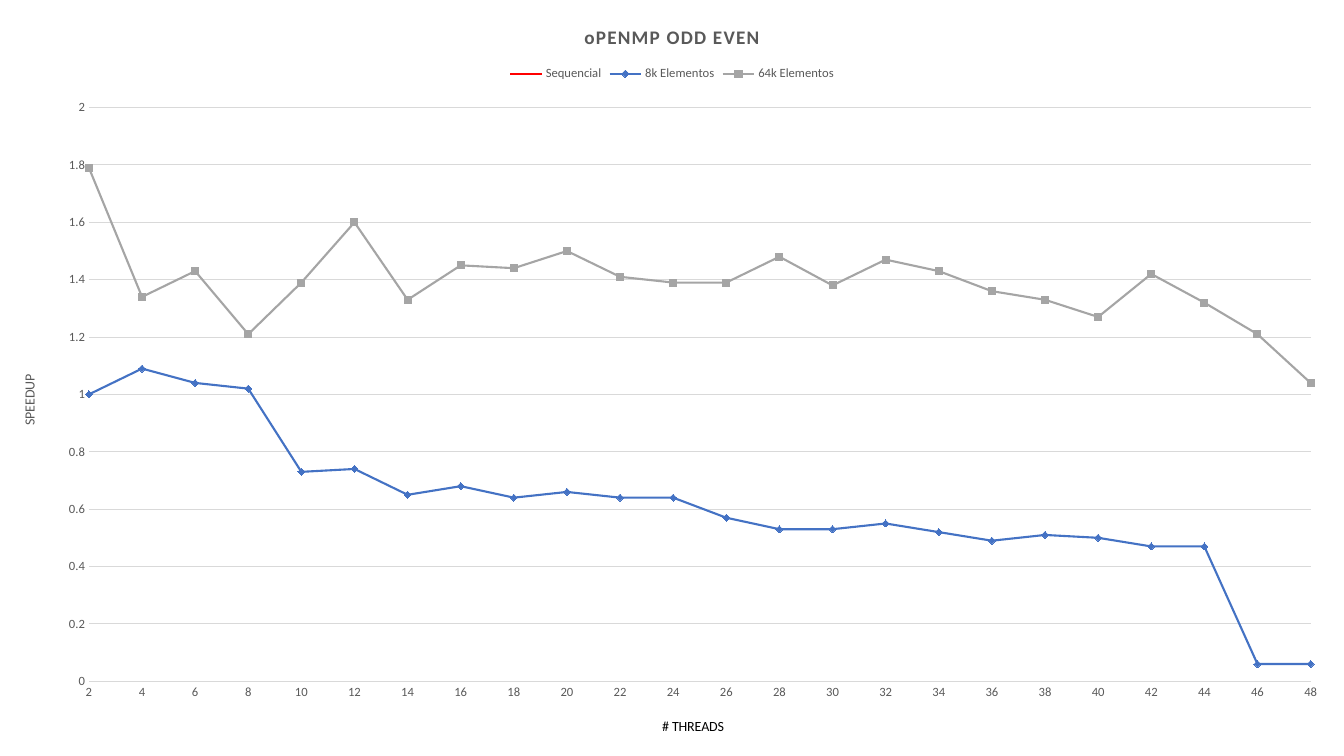
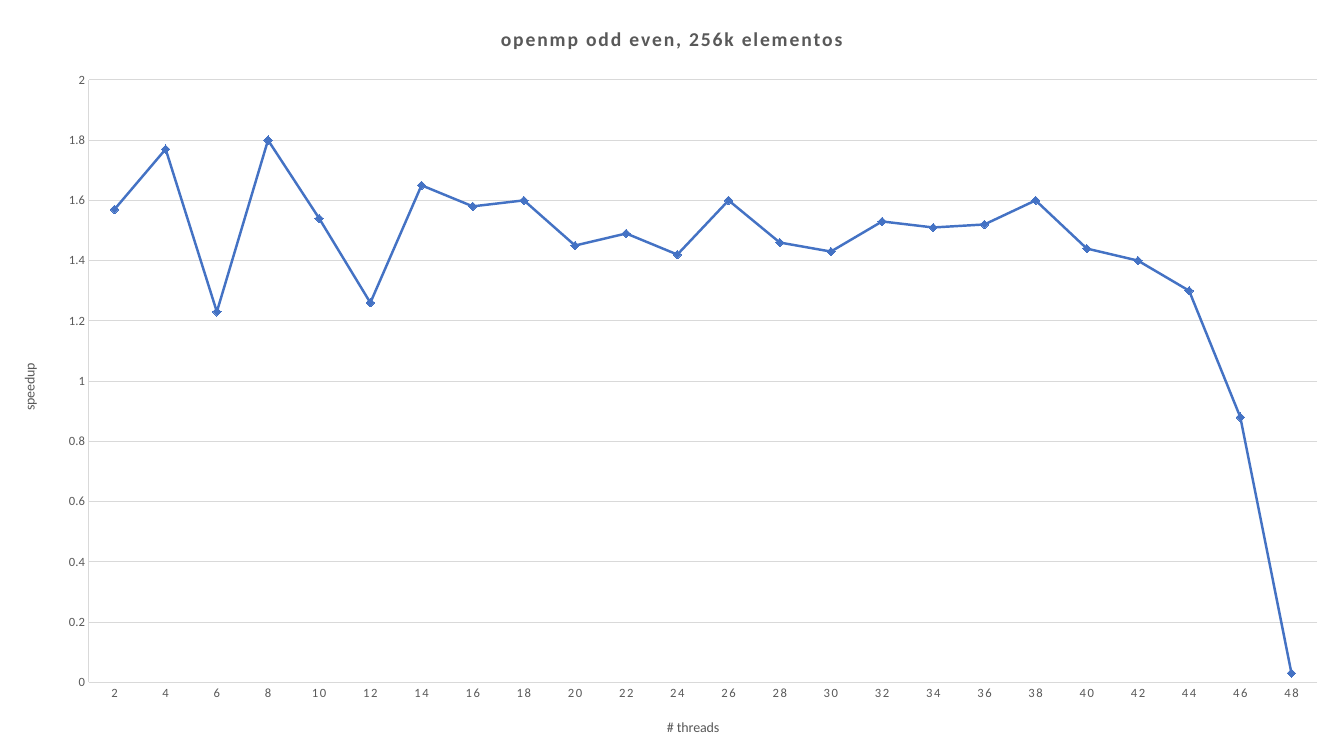
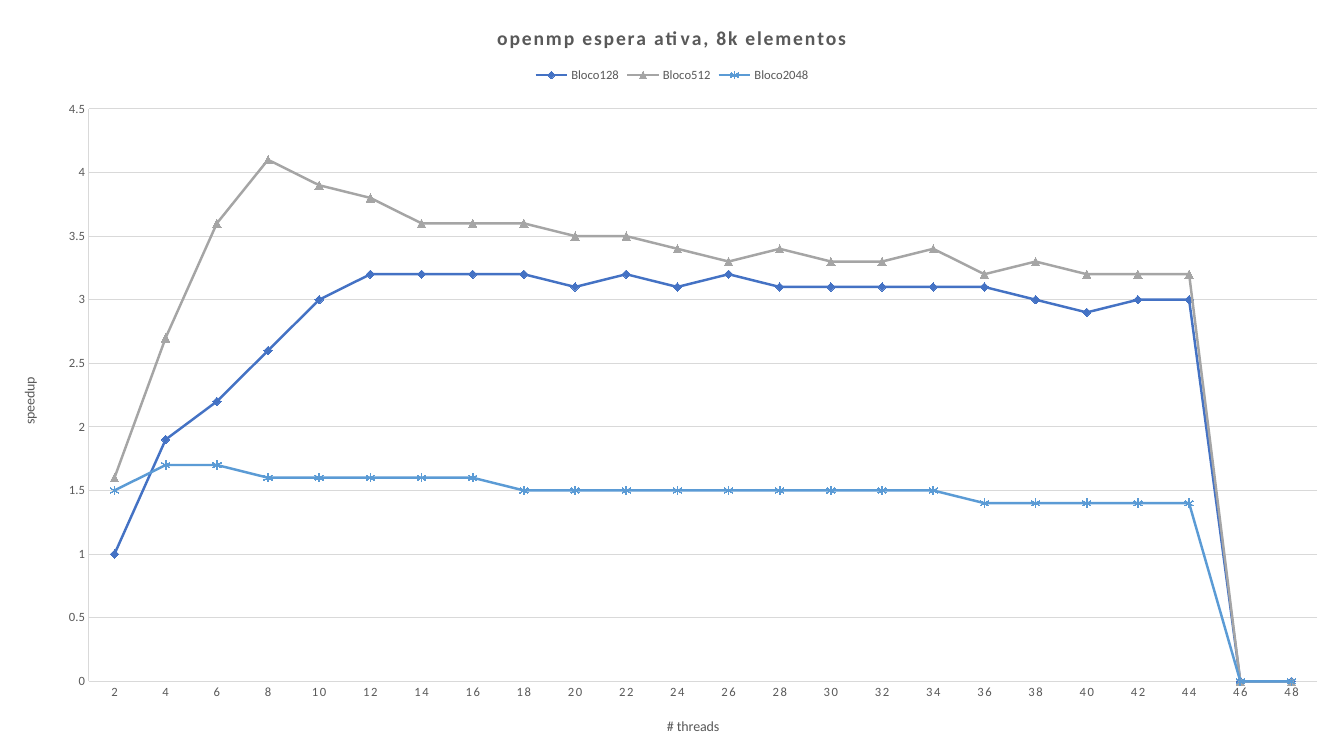
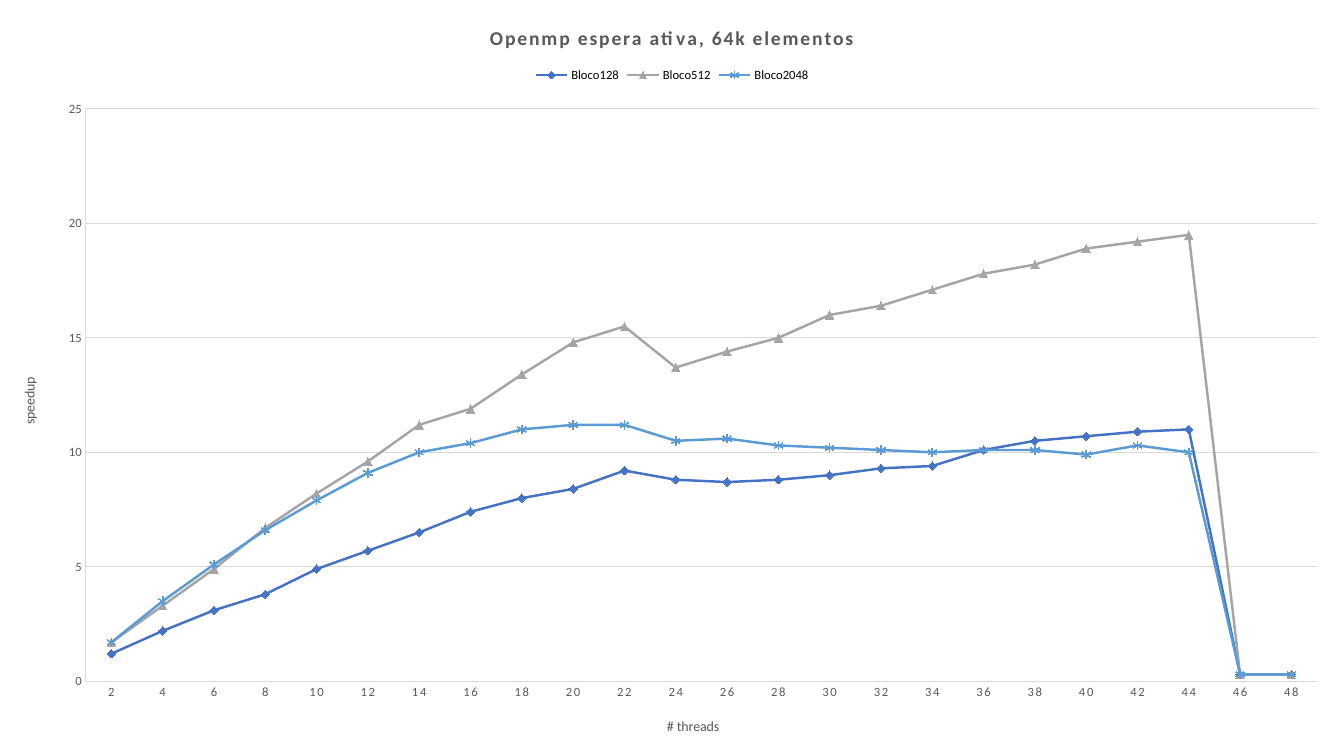
"""Build four slides, each a full-page speedup chart."""
from pptx import Presentation
from pptx.chart.data import CategoryChartData, XyChartData
from pptx.dml.color import RGBColor
from pptx.enum.chart import XL_CHART_TYPE, XL_LEGEND_POSITION, XL_MARKER_STYLE, XL_TICK_MARK
from pptx.oxml.ns import qn
from pptx.util import Inches, Pt

LINE = XL_CHART_TYPE.LINE_MARKERS
SCATTER = XL_CHART_TYPE.XY_SCATTER_LINES_NO_MARKERS
TOP = XL_LEGEND_POSITION.TOP
NO_TICK = XL_TICK_MARK.NONE
NO_MARK = XL_MARKER_STYLE.NONE
DIAMOND = XL_MARKER_STYLE.DIAMOND
SQUARE = XL_MARKER_STYLE.SQUARE
TRIANGLE = XL_MARKER_STYLE.TRIANGLE
STAR = XL_MARKER_STYLE.STAR

RED, BLUE, GRAY, SKY = "FF0000", "4472C4", "A5A5A5", "5B9BD5"
INK, RULE, BLACK = "595959", "D9D9D9", "000000"
THREADS = range(2, 49, 2)
BLOCKS = [("Bloco128", BLUE, DIAMOND), ("Bloco512", GRAY, TRIANGLE), ("Bloco2048", SKY, STAR)]


def rgb(code):
    return RGBColor.from_string(code)


class Deck:
    """Holds the shared chart style and the current slide."""

    font = "Calibri"
    wide, high = 13.33, 7.5

    def __init__(self):
        self.prs = Presentation()
        self.prs.slide_width = Inches(self.wide)
        self.prs.slide_height = Inches(self.high)
        self.slide = None

    def page(self):
        self.slide = self.prs.slides.add_slide(self.prs.slide_layouts[6])

    def style(self, font, size, color=INK, bold=False):
        font.name, font.size, font.bold = self.font, Pt(size), bold
        font.color.rgb = rgb(color)

    def chart(self, kind, data, top=0, size=10):
        frame = self.slide.shapes.add_chart(
            kind, 0, Inches(top), Inches(self.wide), Inches(self.high), data)
        chart = frame.chart
        self.style(chart.font, size, BLACK)
        chart.plots[0].vary_by_categories = False
        return chart

    def label(self, owner, text, size, color=INK, bold=False):
        frame = owner.text_frame
        frame.text = text
        run = frame.paragraphs[0].runs[0]
        self.style(run.font, size, color, bold)
        return frame

    def title(self, chart, text, size=14, gap=120):
        chart.has_title = True
        frame = self.label(chart.chart_title, text, size, bold=True)
        frame.paragraphs[0].runs[0].font._element.set("spc", str(gap))

    def legend(self, chart, color=INK):
        chart.has_legend = True
        chart.legend.position = TOP
        chart.legend.include_in_layout = False
        self.style(chart.legend.font, 9, color)

    def axis(self, axis, text, color=INK, grid=False, line=True):
        axis.has_major_gridlines = grid
        axis.major_tick_mark = axis.minor_tick_mark = NO_TICK
        self.style(axis.tick_labels.font, 9)
        rules = [axis.major_gridlines.format.line] if grid else []
        if line:
            rules.append(axis.format.line)
        else:
            axis.format.line.fill.background()
        for rule in rules:
            rule.color.rgb, rule.width = rgb(RULE), Pt(0.75)
        return self.label(axis.axis_title, text, 10, color)

    def scale(self, axis, low, high, step):
        axis.minimum_scale, axis.maximum_scale, axis.major_unit = low, high, step

    def value(self, chart, text, high, step, line=True):
        axis = chart.value_axis
        frame = self.axis(axis, text, grid=True, line=line)
        body = frame._txBody.find(qn("a:bodyPr"))
        body.set("rot", "-5400000")
        body.set("vert", "horz")
        self.scale(axis, 0, high, step)

    def between(self, chart):
        node = chart.value_axis._element
        cross = node.find(qn("c:crossBetween"))
        if cross is None:
            cross = node.makeelement(qn("c:crossBetween"), {})
            node.find(qn("c:crosses")).addnext(cross)
        cross.set("val", "between")

    def series(self, item, color, mark, width, size):
        item.smooth = False
        line = item.format.line
        line.color.rgb, line.width = rgb(color), Pt(width)
        item.marker.style = mark
        if mark == NO_MARK:
            return
        item.marker.size = size
        look = item.marker.format
        look.line.color.rgb = rgb(color)
        if mark == STAR:
            look.fill.background()
        else:
            look.fill.solid()
            look.fill.fore_color.rgb = rgb(color)

    def scatter(self, title, rows, high, step):
        self.page()
        data = XyChartData()
        for name, color, mark, xs, ys in rows:
            part = data.add_series(name)
            for x, y in zip(xs, ys):
                part.add_data_point(x, y)
        chart = self.chart(SCATTER, data)
        self.title(chart, title, 13.7, 100)
        self.legend(chart)
        self.axis(chart.category_axis, "# THREADS", BLACK)
        self.scale(chart.category_axis, 2, 48, 2)
        self.value(chart, "SPEEDUP", high, step, line=False)
        for item, row in zip(chart.plots[0].series, rows):
            self.series(item, row[1], row[2], 1.5, 5)

    def lines(self, title, looks, rows, high, step, top=0, size=10, legend=INK):
        self.page()
        data = CategoryChartData()
        data.categories = [str(n) for n in THREADS]
        for look, row in zip(looks, rows):
            data.add_series(look[0], row)
        chart = self.chart(LINE, data, top, size)
        self.title(chart, title)
        chart.has_legend = False
        if legend:
            self.legend(chart, legend)
        self.axis(chart.category_axis, "# threads")
        chart.category_axis.tick_labels.font._element.set("spc", "120")
        self.value(chart, "speedup", high, step)
        self.between(chart)
        for item, look in zip(chart.plots[0].series, looks):
            self.series(item, look[1], look[2], 1.75, 6)


def main():
    deck = Deck()
    deck.scatter("oPENMP ODD EVEN", [
        ("Sequencial", RED, NO_MARK, [1, 48], [1, 1]),
        ("8k Elementos", BLUE, DIAMOND, THREADS, [
            1, 1.09, 1.04, 1.02, 0.73, 0.74, 0.65, 0.68, 0.64, 0.66, 0.64, 0.64,
            0.57, 0.53, 0.53, 0.55, 0.52, 0.49, 0.51, 0.5, 0.47, 0.47, 0.06, 0.06]),
        ("64k Elementos", GRAY, SQUARE, THREADS, [
            1.79, 1.34, 1.43, 1.21, 1.39, 1.6, 1.33, 1.45, 1.44, 1.5, 1.41, 1.39,
            1.39, 1.48, 1.38, 1.47, 1.43, 1.36, 1.33, 1.27, 1.42, 1.32, 1.21, 1.04]),
    ], 2, 0.2)
    deck.lines("openmp odd even, 256k elementos", [("Series 1", BLUE, DIAMOND)], [
        [1.57, 1.77, 1.23, 1.8, 1.54, 1.26, 1.65, 1.58, 1.6, 1.45, 1.49, 1.42,
         1.6, 1.46, 1.43, 1.53, 1.51, 1.52, 1.6, 1.44, 1.4, 1.3, 0.88, 0.03],
    ], 2, 0.2, top=0.01, legend=None)
    deck.lines("openmp espera ativa, 8k elementos", BLOCKS, [
        [1, 1.9, 2.2, 2.6, 3, 3.2, 3.2, 3.2, 3.2, 3.1, 3.2, 3.1,
         3.2, 3.1, 3.1, 3.1, 3.1, 3.1, 3, 2.9, 3, 3, 0, 0],
        [1.6, 2.7, 3.6, 4.1, 3.9, 3.8, 3.6, 3.6, 3.6, 3.5, 3.5, 3.4,
         3.3, 3.4, 3.3, 3.3, 3.4, 3.2, 3.3, 3.2, 3.2, 3.2, 0, 0],
        [1.5, 1.7, 1.7, 1.6, 1.6, 1.6, 1.6, 1.6, 1.5, 1.5, 1.5, 1.5,
         1.5, 1.5, 1.5, 1.5, 1.5, 1.4, 1.4, 1.4, 1.4, 1.4, 0, 0],
    ], 4.5, 0.5)
    deck.lines("Openmp espera ativa, 64k elementos", BLOCKS, [
        [1.2, 2.2, 3.1, 3.8, 4.9, 5.7, 6.5, 7.4, 8, 8.4, 9.2, 8.8,
         8.7, 8.8, 9, 9.3, 9.4, 10.1, 10.5, 10.7, 10.9, 11, 0.3, 0.3],
        [1.7, 3.3, 4.9, 6.7, 8.2, 9.6, 11.2, 11.9, 13.4, 14.8, 15.5, 13.7,
         14.4, 15, 16, 16.4, 17.1, 17.8, 18.2, 18.9, 19.2, 19.5, 0.3, 0.3],
        [1.7, 3.5, 5.1, 6.6, 7.9, 9.1, 10, 10.4, 11, 11.2, 11.2, 10.5,
         10.6, 10.3, 10.2, 10.1, 10, 10.1, 10.1, 9.9, 10.3, 10, 0.3, 0.3],
    ], 25, 5, size=9, legend=BLACK)
    deck.prs.save("out.pptx")


if __name__ == "__main__":
    main()
